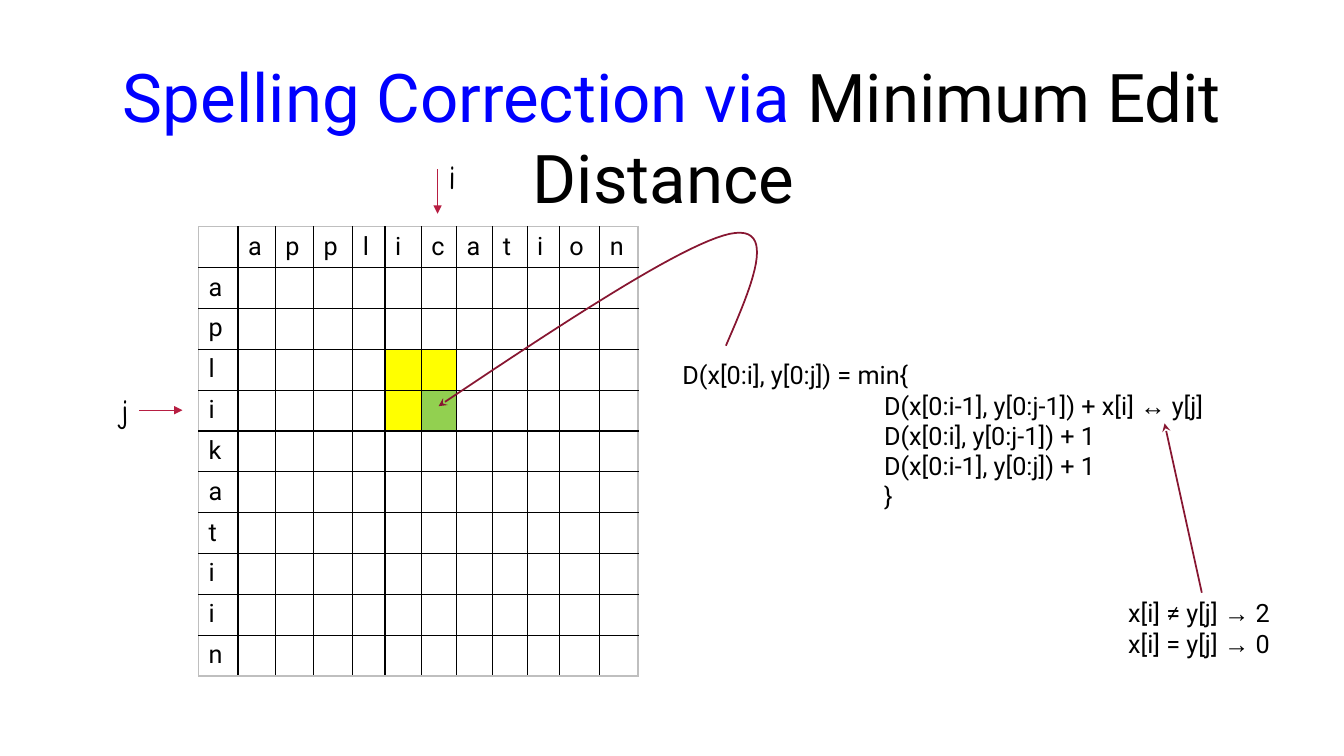
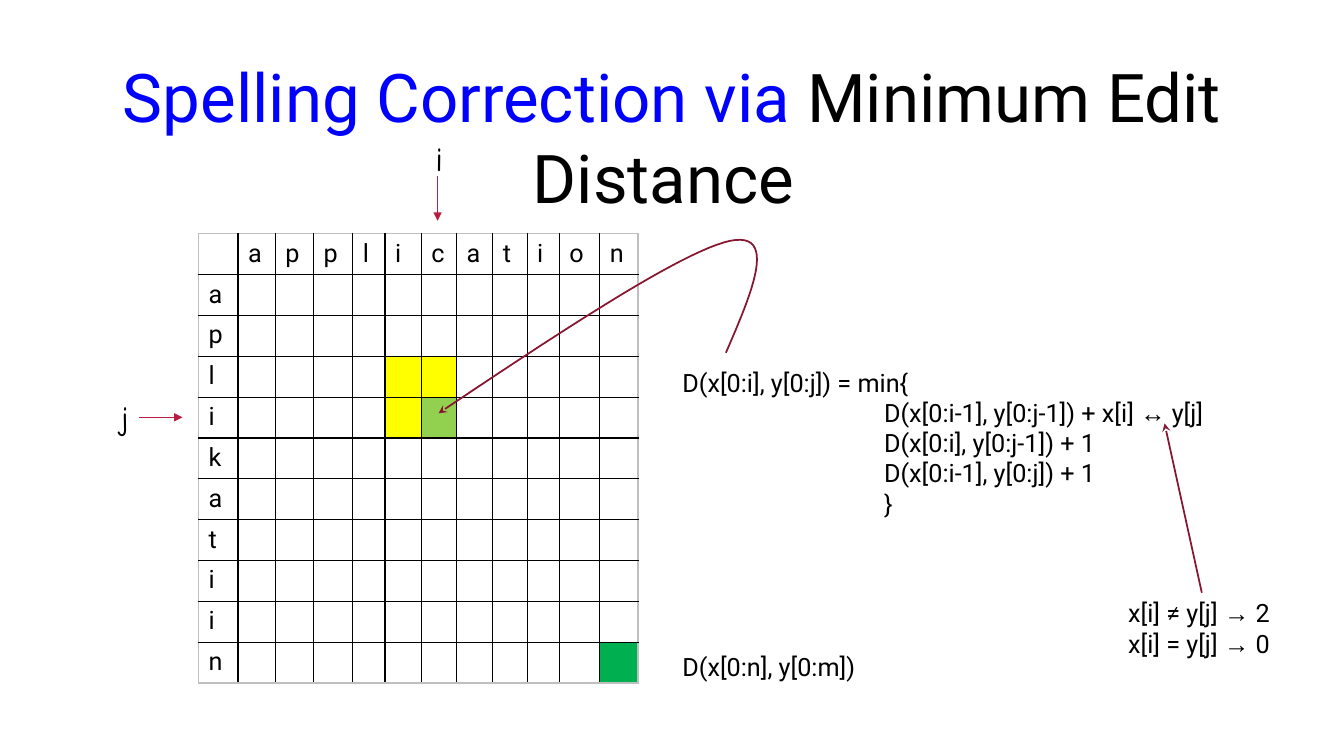
import dataclasses

import lxml.etree
import pptx
import pptx.dml.color
import pptx.enum.shapes
import pptx.enum.text
import pptx.oxml.ns
import pptx.util

Inches = pptx.util.Inches
qn = pptx.oxml.ns.qn


@dataclasses.dataclass(frozen=True)
class Theme:
    body_font: str = "Roboto"
    symbol_font: str = "Times New Roman"
    label_font: str = "Comic Neue"
    title_size: int = 48
    label_size: int = 24
    body_size: int = 18
    text: str = "000000"
    title_accent: str = "0000FF"
    index_arrow: str = "B71E42"
    note_arrow: str = "871631"
    grid_inside: str = "000000"
    grid_outside: str = "BFBFBF"
    neighbour: str = "FFFF00"
    current: str = "92D050"
    final: str = "00B050"


THEME = Theme()
TARGET_WORD = "application"
TYPED_WORD = "aplikatiin"
COLUMN_WIDTHS = [0.39, 0.37, 0.38, 0.39, 0.32, 0.36, 0.35, 0.36, 0.34, 0.32, 0.4, 0.38]
ROW_HEIGHT = 4.46 / (len(TYPED_WORD) + 1)
GRID_LEFT = 1.97
FORMULA_LEFT = 6.67
FORMULA_WIDTH = 6.67
ACTIVE_CELLS = {
    (3, 5): THEME.neighbour,
    (3, 6): THEME.neighbour,
    (4, 5): THEME.neighbour,
    (4, 6): THEME.current,
}
FINAL_CELL = {(len(TYPED_WORD), len(TARGET_WORD)): THEME.final}


def rgb(value):
    return pptx.dml.color.RGBColor.from_string(value)


def set_font(font, name, size, color=THEME.text):
    font.name = name
    font.size = pptx.util.Pt(size)
    font.color.rgb = rgb(color)


def add_text(page, left, top, width, height, lines, wrap=True,
             name=THEME.body_font, size=THEME.body_size):
    box = page.shapes.add_textbox(Inches(left), Inches(top), Inches(width), Inches(height))
    frame = box.text_frame
    frame.word_wrap = wrap
    for number, (indent, pieces) in enumerate(lines):
        para = frame.paragraphs[0] if number == 0 else frame.add_paragraph()
        set_font(para.font, name, size)
        if indent:
            properties = para._p.get_or_add_pPr()
            properties.set("marL", str(Inches(indent)))
            properties.set("indent", "0")
        for piece in pieces:
            span = para.add_run()
            span.text = piece
            if piece.strip() in ("↔", "→"):
                span.font.name = THEME.symbol_font
    return box


def style_arrow(shape, color, width, head):
    shape.line.color.rgb = rgb(color)
    shape.line.width = pptx.util.Pt(width)
    properties = shape.element.spPr
    lxml.etree.SubElement(properties.find(qn("a:ln")), qn("a:tailEnd"), type=head)
    lxml.etree.SubElement(properties, qn("a:effectLst"))


def add_arrow(page, start, end, color, width, head):
    arrow = page.shapes.add_connector(
        pptx.enum.shapes.MSO_CONNECTOR.STRAIGHT,
        *(Inches(value) for value in (*start, *end)))
    style_arrow(arrow, color, width, head)


def bezier_points(corners, steps=24):
    for step in range(1, steps + 1):
        t = step / steps
        weights = ((1 - t) ** 3, 3 * t * (1 - t) ** 2, 3 * t ** 2 * (1 - t), t ** 3)
        yield tuple(sum(weight * corner[axis] for weight, corner in zip(weights, corners))
                    for axis in (0, 1))


def add_curved_arrow(page, top):
    corners = [(7.2, 1.18), (7.46, 0.58), (7.72, -0.03), (7.24, 0.07),
               (6.77, 0.17), (5.56, 0.97), (4.35, 1.78)]
    corners = [(x, top + y) for x, y in corners]
    points = [*bezier_points(corners[:4]), *bezier_points(corners[3:])]
    builder = page.shapes.build_freeform(*(Inches(value) for value in corners[0]))
    builder.add_line_segments([(Inches(x), Inches(y)) for x, y in points], close=False)
    curve = builder.convert_to_shape()
    curve.fill.background()
    style_arrow(curve, THEME.note_arrow, 1.25, "stealth")


def set_borders(cell, outer_sides):
    properties = cell._tc.get_or_add_tcPr()
    for side in "LRTB":
        line = lxml.etree.SubElement(properties, qn(f"a:ln{side}"), w=str(pptx.util.Pt(1)))
        fill = lxml.etree.SubElement(line, qn("a:solidFill"))
        color = THEME.grid_outside if side in outer_sides else THEME.grid_inside
        lxml.etree.SubElement(fill, qn("a:srgbClr"), val=color)


def add_grid(page, top, fills):
    rows, columns = len(TYPED_WORD) + 1, len(COLUMN_WIDTHS)
    table = page.shapes.add_table(
        rows, columns, Inches(GRID_LEFT), Inches(top),
        Inches(sum(COLUMN_WIDTHS)), Inches(ROW_HEIGHT * rows)).table
    table.first_row = False
    table.horz_banding = False
    for column, width in zip(table.columns, COLUMN_WIDTHS):
        column.width = Inches(width)
    for row_number in range(rows):
        table.rows[row_number].height = Inches(ROW_HEIGHT)
        for column_number in range(columns):
            cell = table.cell(row_number, column_number)
            edges = {"L": column_number == 0, "R": column_number == columns - 1,
                     "T": row_number == 0, "B": row_number == rows - 1}
            set_borders(cell, [side for side, outer in edges.items() if outer])
            color = fills.get((row_number, column_number))
            if color:
                cell.fill.solid()
                cell.fill.fore_color.rgb = rgb(color)
            else:
                cell.fill.background()
    letters = [(0, number, letter) for number, letter in enumerate(TARGET_WORD, 1)]
    letters += [(number, 0, letter) for number, letter in enumerate(TYPED_WORD, 1)]
    for row_number, column_number, letter in letters:
        cell = table.cell(row_number, column_number)
        cell.text = letter
        set_font(cell.text_frame.paragraphs[0].font, THEME.body_font, THEME.body_size)


def add_indices(page, top, column_label):
    label_left, label_top = column_label
    arrows = [((4.34, top - 0.57), (4.34, top - 0.13)),
              ((1.38, top + 1.82), (1.81, top + 1.82))]
    for start, end in arrows:
        add_arrow(page, start, end, THEME.index_arrow, 0.75, "triangle")
    for letter, left, label_y in (("i", label_left, label_top), ("j", 1.1, top + 1.57)):
        add_text(page, left, label_y, 0.3, 0.5, [(0, [letter])], wrap=False,
                 name=THEME.label_font, size=THEME.label_size)


def add_formula(page, top):
    add_text(page, FORMULA_LEFT, top, FORMULA_WIDTH, 1.62, [
        (0, ["D(x[0:i], y[0:j]) = min{"]),
        (2, ["D(x[0:i-1], y[0:j-1]) + x[i] ", "↔", " y[j]"]),
        (2, ["D(x[0:i], y[0:j-1]) + 1"]),
        (2, ["D(x[0:i-1], y[0:j]) + 1"]),
        (2, ["}"]),
    ])


def add_cost_note(page):
    add_arrow(page, (11.92, 5.88), (11.55, 4.2), THEME.note_arrow, 1.25, "stealth")
    add_text(page, 10.09, 5.88, 2.91, 0.71, [
        (1, ["x[i] ≠ y[j] ", "→ ", "2"]),
        (1, ["x[i] = y[j] ", "→ ", "0"]),
    ])


def add_title(page):
    box = add_text(page, 0, 0.5, 13.33, 0.91,
                   [(0, ["Spelling Correction via ", "Minimum Edit Distance "])],
                   size=THEME.title_size)
    para = box.text_frame.paragraphs[0]
    para.alignment = pptx.enum.text.PP_ALIGN.CENTER
    para.runs[0].font.color.rgb = rgb(THEME.title_accent)


def add_distance_slide(deck, top, column_label, fills):
    page = deck.slides.add_slide(deck.slide_layouts[6])
    add_title(page)
    add_grid(page, top, fills)
    add_indices(page, top, column_label)
    add_formula(page, top + 1.27)
    add_curved_arrow(page, top)
    add_cost_note(page)
    return page


def main():
    deck = pptx.Presentation()
    deck.slide_width = Inches(13.33)
    deck.slide_height = Inches(7.5)
    add_distance_slide(deck, 2.25, (4.35, 1.5), ACTIVE_CELLS)
    page = add_distance_slide(deck, 2.32, (4.22, 1.32), ACTIVE_CELLS | FINAL_CELL)
    add_text(page, FORMULA_LEFT, 6.41, FORMULA_WIDTH, 0.4, [(0, ["D(x[0:n], y[0:m])"])])
    deck.save("out.pptx")


if __name__ == "__main__":
    main()
